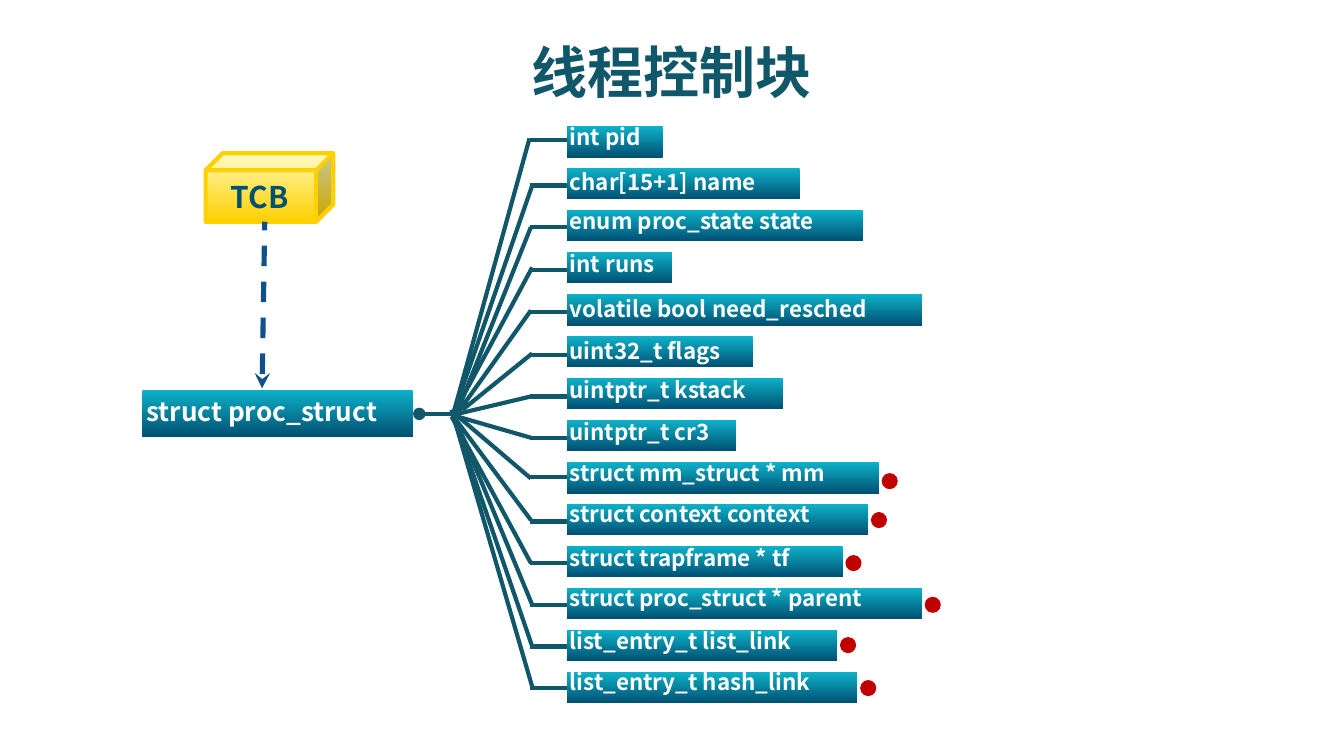
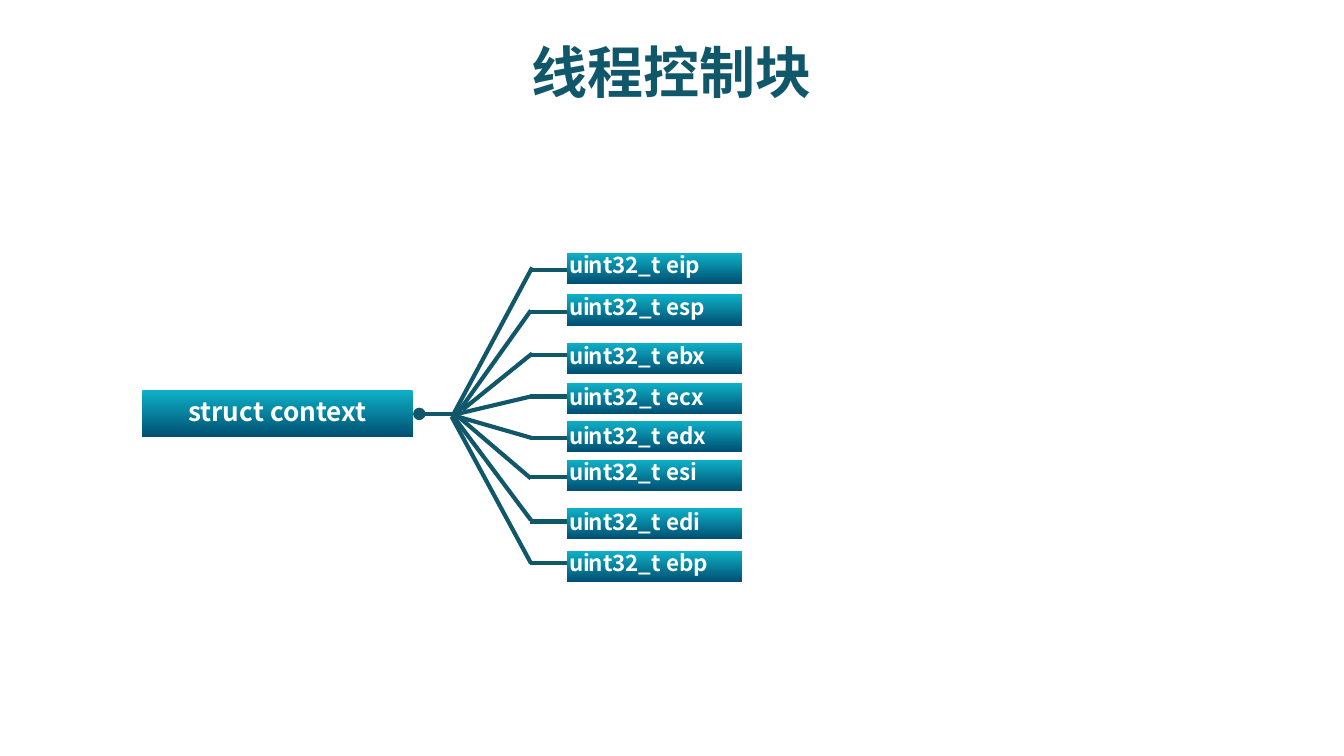
import pptx
import pptx.util
import pptx.dml.color
import pptx.enum.dml
import pptx.enum.shapes
import pptx.enum.text
import pptx.oxml.ns
import lxml.etree

SHAPE = pptx.enum.shapes.MSO_SHAPE
ALIGN = pptx.enum.text.PP_ALIGN
FONT = "Noto Sans CJK SC"
SCALE = 9144
COLORS = {
    "teal": "11576A", "cyan": "0EB1C8", "navy": "005072", "white": "FFFFFF",
    "red": "C00000", "cream": "FFF9B1", "gold": "FDD000", "blue": "0F518B",
}
TITLE = "线程控制块"

# text, bar width, text top, text width, dot top
FIELDS = [
    ("int pid", 71, 87, 80, None),
    ("char[15+1] name", 173, 120, 181, None),
    ("enum proc_state state", 220, 149, 228, None),
    ("int runs", 78, 181, 92, None),
    ("volatile bool need_resched", 264, 215, 268, None),
    ("uint32_t flags", 138, 246, 146, None),
    ("uintptr_t kstack", 161, 275, 165, None),
    ("uintptr_t cr3", 126, 306, 134, None),
    ("struct mm_struct * mm", 232, 337, 228, 352),
    ("struct context context", 224, 367, 224, 381),
    ("struct trapframe * tf", 205, 400, 205, 413),
    ("struct proc_struct * parent", 264, 430, 263, 444),
    ("list_entry_t list_link", 201, 462, 193, 474),
    ("list_entry_t hash_link", 216, 492, 208, 506),
]
# register, bar top, text top, text width
SAVED = [
    ("eip", 188, 182, 127), ("esp", 219, 213, 132),
    ("ebx", 255, 250, 133), ("ecx", 285, 280, 131),
    ("edx", 313, 309, 133), ("esi", 342, 336, 126),
    ("edi", 378, 373, 127), ("ebp", 410, 404, 134),
]
# stub height, knee, hub end
RAYS = [
    (104, (394, 103), (337, 309)), (138, (396, 138), (337, 309)),
    (169, (395, 169), (340, 307)), (201, (396, 199), (337, 309)),
    (232, (395, 231), (340, 308)), (264, (396, 263), (344, 305)),
    (295, (395, 295), (336, 309)), (326, (396, 326), (337, 309)),
    (355, (395, 356), (341, 310)), (388, (395, 387), (336, 308)),
    (419, (395, 419), (336, 310)), (450, (396, 450), (336, 305)),
    (481, (396, 481), (337, 309)), (512, (396, 511), (336, 305)),
]
BAR_X, TEXT_X, STUB_X = 422, 414, 394
BAR_H, TEXT_H, DOT = 23, 31, 12
WIDTH = 130


def px(*nums):
    return [pptx.util.Emu(round(n * SCALE)) for n in nums]


def tint(name):
    return pptx.dml.color.RGBColor.from_string(COLORS[name])


def style(frame, size, color, align=ALIGN.LEFT):
    para = frame.paragraphs[0]
    para.alignment = align
    for run in para.runs:
        font = run.font
        font.size = pptx.util.Pt(size)
        font.bold = True
        font.color.rgb = tint(color)
        font.name = FONT
        east = lxml.etree.SubElement(run._r.get_or_add_rPr(), pptx.oxml.ns.qn("a:ea"))
        east.set("typeface", FONT)


def label(slide, box, parts, size, color="white", align=ALIGN.LEFT, wrap=False):
    frame = slide.shapes.add_textbox(*px(*box)).text_frame
    frame.word_wrap = wrap
    frame.auto_size = pptx.enum.text.MSO_AUTO_SIZE.SHAPE_TO_FIT_TEXT
    for text, space in parts:
        run = frame.paragraphs[0].add_run()
        run.text = text
        if space:
            run._r.get_or_add_rPr().set("spc", str(space))
    style(frame, size, color, align)


def solid(slide, kind, box, *names):
    shape = slide.shapes.add_shape(kind, *px(*box))
    shape.shadow.inherit = False
    shape.line.fill.background()
    if len(names) == 1:
        shape.fill.solid()
        shape.fill.fore_color.rgb = tint(names[0])
    else:
        shape.fill.gradient()
        shape.fill.gradient_angle = 270
        for stop, name in zip(shape.fill.gradient_stops, names):
            stop.color.rgb = tint(name)
    return shape


def bar(slide, box):
    solid(slide, SHAPE.RECTANGLE, box, "cyan", "navy")


def line(slide, start, end, color="teal", width=2.25, head=None, dash=None):
    link = slide.shapes.add_connector(
        pptx.enum.shapes.MSO_CONNECTOR.STRAIGHT, *px(*start, *end))
    link.line.color.rgb = tint(color)
    link.line.width = pptx.util.Pt(width)
    if dash:
        link.line.dash_style = dash
    if head:
        tip = lxml.etree.SubElement(link.line._get_or_add_ln(), pptx.oxml.ns.qn("a:headEnd"))
        tip.set("type", head)
    lxml.etree.SubElement(link._element.spPr, pptx.oxml.ns.qn("a:effectLst"))


def start(deck):
    slide = deck.slides.add_slide(deck.slide_layouts[5])
    head = slide.shapes.title
    head.left, head.top, head.width, head.height = px(0, 23, 1000, 60)
    frame = head.text_frame
    frame.text = TITLE
    frame.vertical_anchor = pptx.enum.text.MSO_ANCHOR.TOP
    frame.auto_size = pptx.enum.text.MSO_AUTO_SIZE.SHAPE_TO_FIT_TEXT
    style(frame, 30, "teal", ALIGN.CENTER)
    return slide


def tree(slide, name, left, width, align, rays):
    bar(slide, (106, 290, 201, 35))
    label(slide, (left, 289, width, 35), [(name, 0)], 14, align=align)
    line(slide, (312, 308), (338, 308), head="oval")
    for y, knee, hub in rays:
        line(slide, (BAR_X, y), (STUB_X, y))
        line(slide, knee, hub)


def block(deck):
    slide = start(deck)
    for i, (text, width, top, span, dot) in enumerate(FIELDS):
        bar(slide, (BAR_X, 94 + i * 125 / 4, width, BAR_H))
        label(slide, (TEXT_X, top, span, TEXT_H), [(text, 0)], 12)
        if dot:
            solid(slide, SHAPE.OVAL, (BAR_X + width + 2, dot, DOT, DOT), "red")
    tree(slide, "struct proc_struct", 99, 213, ALIGN.LEFT, RAYS)
    cube = solid(slide, SHAPE.CUBE, (153, 114, 95, 51), "cream", "gold")
    cube.line.color.rgb = tint("gold")
    cube.line.width = pptx.util.Pt(2.25)
    label(slide, (162, 128, 69, 37), [("TCB", 0)], 16, "navy", wrap=True)
    line(slide, (195, 289), (197, 165), "blue", 2.75, "stealth",
         pptx.enum.dml.MSO_LINE.DASH)


def context(deck):
    slide = start(deck)
    for name, y, top, span in SAVED:
        bar(slide, (BAR_X, y, WIDTH, BAR_H))
        parts = [("u", 0), ("in", -100), ("t32_t " + name, 0)]
        label(slide, (TEXT_X, top, span, TEXT_H), parts, 12)
    tree(slide, "struct context", 120, 173, ALIGN.CENTER, RAYS[3:11])


def main():
    deck = pptx.Presentation()
    deck.slide_width, deck.slide_height = px(1000, 562.5)
    block(deck)
    context(deck)
    deck.save("out.pptx")


if __name__ == "__main__":
    main()
